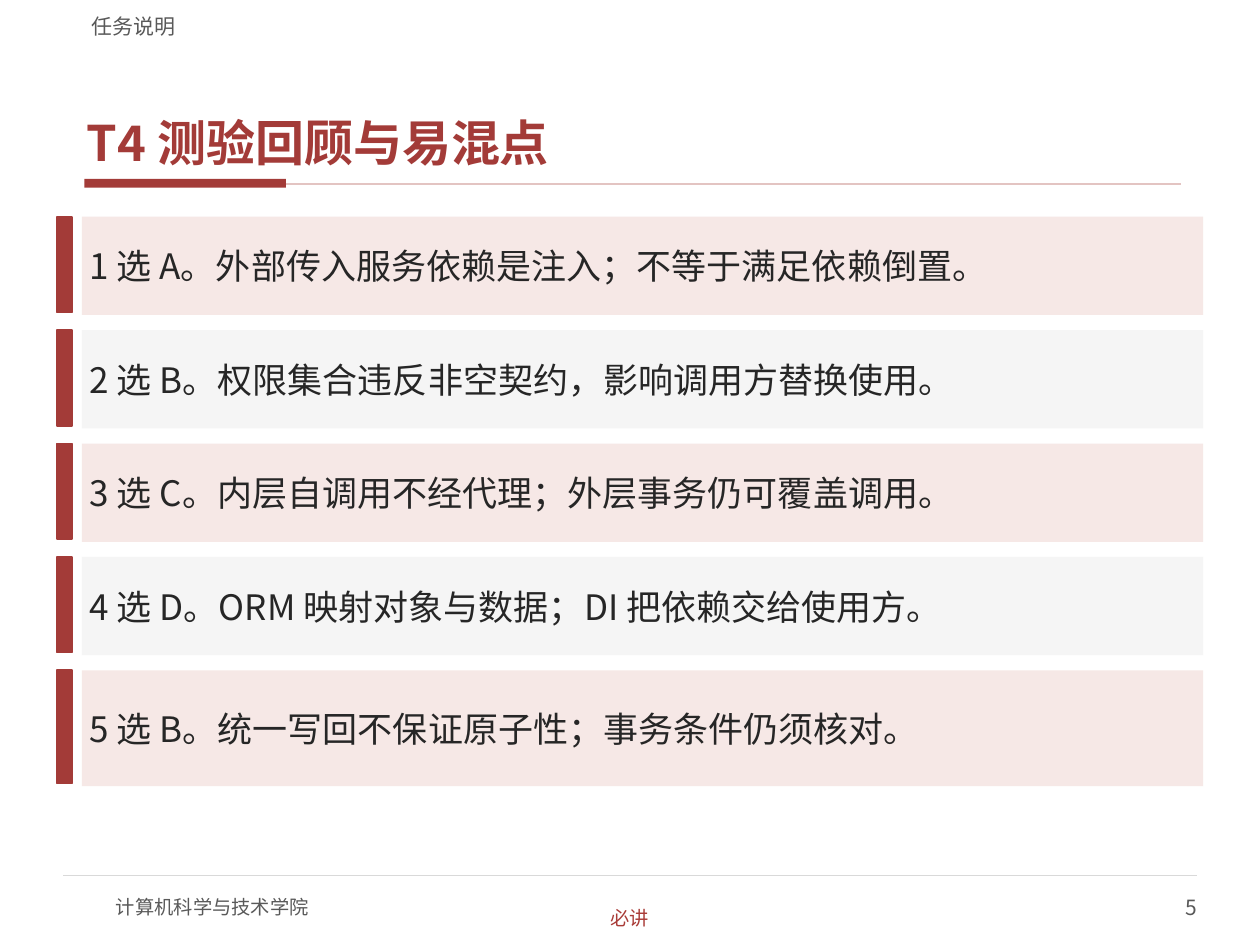
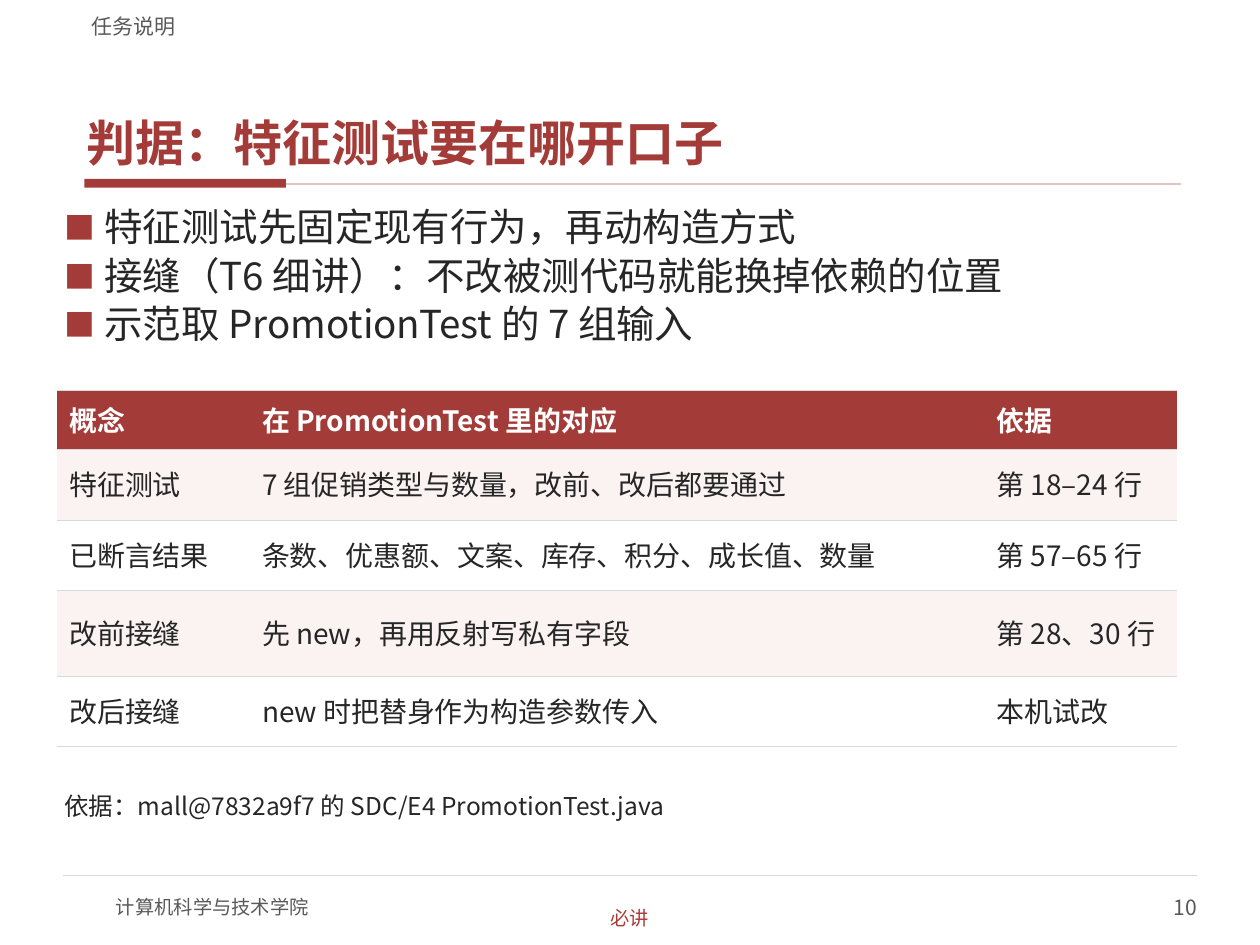
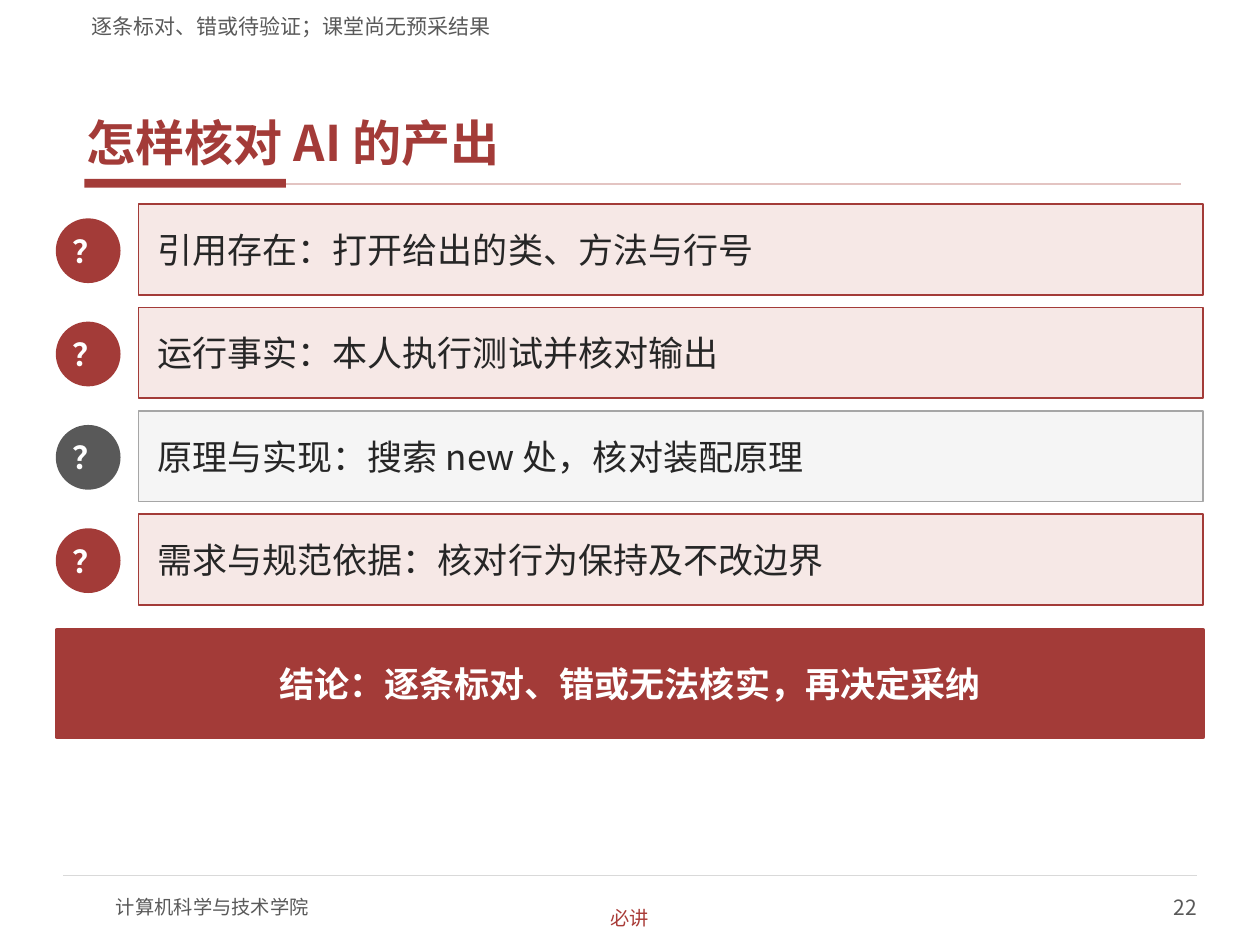
from pptx import Presentation
from pptx.dml.color import RGBColor
from pptx.enum import shapes, text
from pptx.oxml import parse_xml
from pptx.oxml.ns import nsdecls
from pptx.util import Inches, Pt

FONT = "Noto Sans CJK SC"
RED = RGBColor(0xA3, 0x3B, 0x38)
TAG = RGBColor(0xA9, 0x3B, 0x37)
ROSE = RGBColor(0xE3, 0xC4, 0xC2)
PINK = RGBColor(0xF6, 0xE8, 0xE6)
PALE = RGBColor(0xFB, 0xF3, 0xF2)
INK = RGBColor(0x26, 0x26, 0x26)
DARK = RGBColor(0x59, 0x59, 0x59)
GREY = RGBColor(0xA6, 0xA6, 0xA6)
RULE = RGBColor(0xD9, 0xD9, 0xD9)
LIGHT = RGBColor(0xF5, 0xF5, 0xF5)
WHITE = RGBColor(0xFF, 0xFF, 0xFF)

LEFT, MID, RIGHT = text.PP_ALIGN.LEFT, text.PP_ALIGN.CENTER, text.PP_ALIGN.RIGHT
TOP, CENTER, BASE = (text.MSO_ANCHOR.TOP, text.MSO_ANCHOR.MIDDLE,
                     text.MSO_ANCHOR.BOTTOM)
RECT, OVAL = shapes.MSO_SHAPE.RECTANGLE, shapes.MSO_SHAPE.OVAL


def say(frame, lines, size, color, bold=False, align=LEFT, anchor=CENTER,
        pad=None):
    """Write one paragraph per line; pad is the side and top inset."""
    if pad:
        frame.word_wrap = True
        frame.auto_size = text.MSO_AUTO_SIZE.NONE
        frame.vertical_anchor = anchor
        frame.margin_left = frame.margin_right = Inches(pad[0])
        frame.margin_top = frame.margin_bottom = Inches(pad[1])
    for i, line in enumerate(lines):
        para = frame.add_paragraph() if i else frame.paragraphs[0]
        para.alignment = align
        para.space_before = para.space_after = Pt(0)
        run = para.add_run()
        run.text = line
        run.font.size = Pt(size)
        run.font.bold = bold
        run.font.color.rgb = color
        run.font.name = FONT
        run.font._element.append(
            parse_xml(f'<a:ea {nsdecls("a")} typeface="{FONT}"/>'))


def block(slide, kind, at, fill, line=None, width=1):
    """Add a filled shape, outlined if a line colour is given."""
    shape = slide.shapes.add_shape(kind, *map(Inches, at))
    shape.shadow.inherit = False
    shape.fill.solid()
    shape.fill.fore_color.rgb = fill
    if line is None:
        shape.line.fill.background()
    else:
        shape.line.color.rgb = line
        shape.line.width = Pt(width)
    return shape


deck = Presentation()
deck.slide_width, deck.slide_height = Inches(10), Inches(7.5)

# Shared frame: title, rules, header and footer
pages = [
    (5, "T4 测验回顾与易混点", "任务说明", "5"),
    (1, "判据：特征测试要在哪开口子", "任务说明", "10"),
    (5, "怎样核对 AI 的产出", "逐条标对、错或待验证；课堂尚无预采结果", "22"),
]
for layout, title, note, page in pages:
    slide = deck.slides.add_slide(deck.slide_layouts[layout])
    block(slide, RECT, (0.67, 1.42, 1.6, 0.07), RED)
    for x1, x2, y, color, width in [(2.27, 9.37, 1.46, ROSE, 1),
                                    (0.5, 9.5, 6.95, RULE, 0.75)]:
        rule = slide.shapes.add_connector(
            shapes.MSO_CONNECTOR.STRAIGHT,
            Inches(x1), Inches(y), Inches(x2), Inches(y))
        rule.line.color.rgb = color
        rule.line.width = Pt(width)
        rule._element.spPr.append(parse_xml(f'<a:effectLst {nsdecls("a")}/>'))

    head = slide.shapes.title
    head.left, head.top, head.width, head.height = map(
        Inches, (0.63, 0.33, 8.75, 1.05))
    say(head.text_frame, [title], 28, RED, True, LEFT, BASE, (0.06, 0.02))
    head.text_frame.paragraphs[0].space_after = Pt(2)

    for at, words, size, color, align, anchor, side in [
        ((0.92, 7, 4, 0.4), "计算机科学与技术学院", 11, DARK, LEFT, CENTER, 0),
        ((7.5, 7, 2, 0.4), page, 12, DARK, RIGHT, CENTER, 0),
        ((0.63, 0.04, 8.75, 0.27), note, 12, DARK, LEFT, BASE, 0.1),
        ((4.4, 7.18, 1.2, 0.21), "必讲", 11, TAG, MID, CENTER, 0),
    ]:
        label = slide.shapes.add_textbox(*map(Inches, at))
        say(label.text_frame, [words], size, color, False, align, anchor,
            (side, 0))

quiz, seam, check = deck.slides

# Quiz answers: striped rows, the last one taller
answers = [
    "1 选 A。外部传入服务依赖是注入；不等于满足依赖倒置。",
    "2 选 B。权限集合违反非空契约，影响调用方替换使用。",
    "3 选 C。内层自调用不经代理；外层事务仍可覆盖调用。",
    "4 选 D。ORM 映射对象与数据；DI 把依赖交给使用方。",
    "5 选 B。统一写回不保证原子性；事务条件仍须核对。",
]
for i, answer in enumerate(answers):
    y = 1.72 + 0.9 * i
    tall = 0.92 if i == len(answers) - 1 else 0.78
    block(quiz, RECT, (0.45, y, 0.12, tall - 0.02), RED, RED)
    row = block(quiz, RECT, (0.65, y, 8.9, tall), LIGHT if i % 2 else PINK)
    say(row.text_frame, [answer], 20, INK, pad=(0.06, 0.03))

# Test seams: bullet list
body = seam.placeholders[1]
body.left, body.top, body.width, body.height = map(
    Inches, (0.45, 1.66, 9.1, 1.33))
say(body.text_frame, [
    "特征测试先固定现有行为，再动构造方式",
    "接缝（T6 细讲）：不改被测代码就能换掉依赖的位置",
    "示范取 PromotionTest 的 7 组输入",
], 22, INK, anchor=TOP, pad=(0.06, 0.02))
for i, para in enumerate(body.text_frame.paragraphs):
    props = para._p.get_or_add_pPr()
    props.set("marL", str(Inches(0.32)))
    props.set("indent", str(-Inches(0.32)))
    for mark in (f'<a:buClr {nsdecls("a")}><a:srgbClr val="{RED}"/></a:buClr>',
                 f'<a:buSzPct {nsdecls("a")} val="80000"/>',
                 f'<a:buFont {nsdecls("a")} typeface="{FONT}"/>',
                 f'<a:buChar {nsdecls("a")} char="■"/>'):
        props.append(parse_xml(mark))
    para.line_spacing = 0.82
    para.space_before = Pt(4 if i else 0)
    para.space_after = Pt(2)

# Test seams: table
rows = [
    ("概念", "在 PromotionTest 里的对应", "依据"),
    ("特征测试", "7 组促销类型与数量，改前、改后都要通过", "第 18–24 行"),
    ("已断言结果", "条数、优惠额、文案、库存、积分、成长值、数量", "第 57–65 行"),
    ("改前接缝", "先 new，再用反射写私有字段", "第 28、30 行"),
    ("改后接缝", "new 时把替身作为构造参数传入", "本机试改"),
]
grid = seam.shapes.add_table(len(rows), 3, *map(
    Inches, (0.45, 3.1, 8.89, 2.71))).table
for col, wide in zip(grid.columns, (1.53, 5.83, 1.53)):
    col.width = Inches(wide)
for r, cells in enumerate(rows):
    grid.rows[r].height = Inches(0.56 if r else 0.47)
    for c, words in enumerate(cells):
        cell = grid.cell(r, c)
        cell.vertical_anchor = CENTER
        cell.fill.solid()
        cell.fill.fore_color.rgb = (PALE if r % 2 else WHITE) if r else RED
        say(cell.text_frame, [words], 16, INK if r else WHITE, r == 0)
        cell.text_frame.paragraphs[0].line_spacing = 0.9
        for n, side in enumerate("LRTB"):
            paint = (f'<a:solidFill><a:srgbClr val="{RULE}"/></a:solidFill>'
                     if side in "TB" else "<a:noFill/>")
            cell._tc.get_or_add_tcPr().insert(n, parse_xml(
                f'<a:ln{side} {nsdecls("a")} w="{Pt(0.75)}">{paint}</a:ln{side}>'))

# Test seams: source line
cite = seam.shapes.add_textbox(*map(Inches, (0.45, 6.23, 9.1, 0.5)))
say(cite.text_frame, ["依据：mall@7832a9f7 的 SDC/E4 PromotionTest.java"],
    14, INK, anchor=TOP, pad=(0.06, 0.05))

# Checks: question marks beside framed rows
checks = [
    ("引用存在：打开给出的类、方法与行号", RED, PINK, RED),
    ("运行事实：本人执行测试并核对输出", RED, PINK, RED),
    ("原理与实现：搜索 new 处，核对装配原理", DARK, LIGHT, GREY),
    ("需求与规范依据：核对行为保持及不改边界", RED, PINK, RED),
]
for i, (words, dot, fill, edge) in enumerate(checks):
    y = 1.62 + 0.82 * i
    badge = block(check, OVAL, (0.45, y + 0.12, 0.5, 0.5), dot, dot)
    say(badge.text_frame, ["？"], 18, WHITE, True, MID, pad=(0, 0))
    row = block(check, RECT, (1.1, y, 8.45, 0.72), fill, edge)
    say(row.text_frame, [words], 20, INK, pad=(0.15, 0.07))

# Checks: conclusion
final = block(check, RECT, (0.45, 5, 9.1, 0.85), RED, RED, 2.25)
say(final.text_frame, ["结论：逐条标对、错或无法核实，再决定采纳"],
    20, WHITE, True, MID, pad=(0.08, 0.04))

deck.save("out.pptx")
